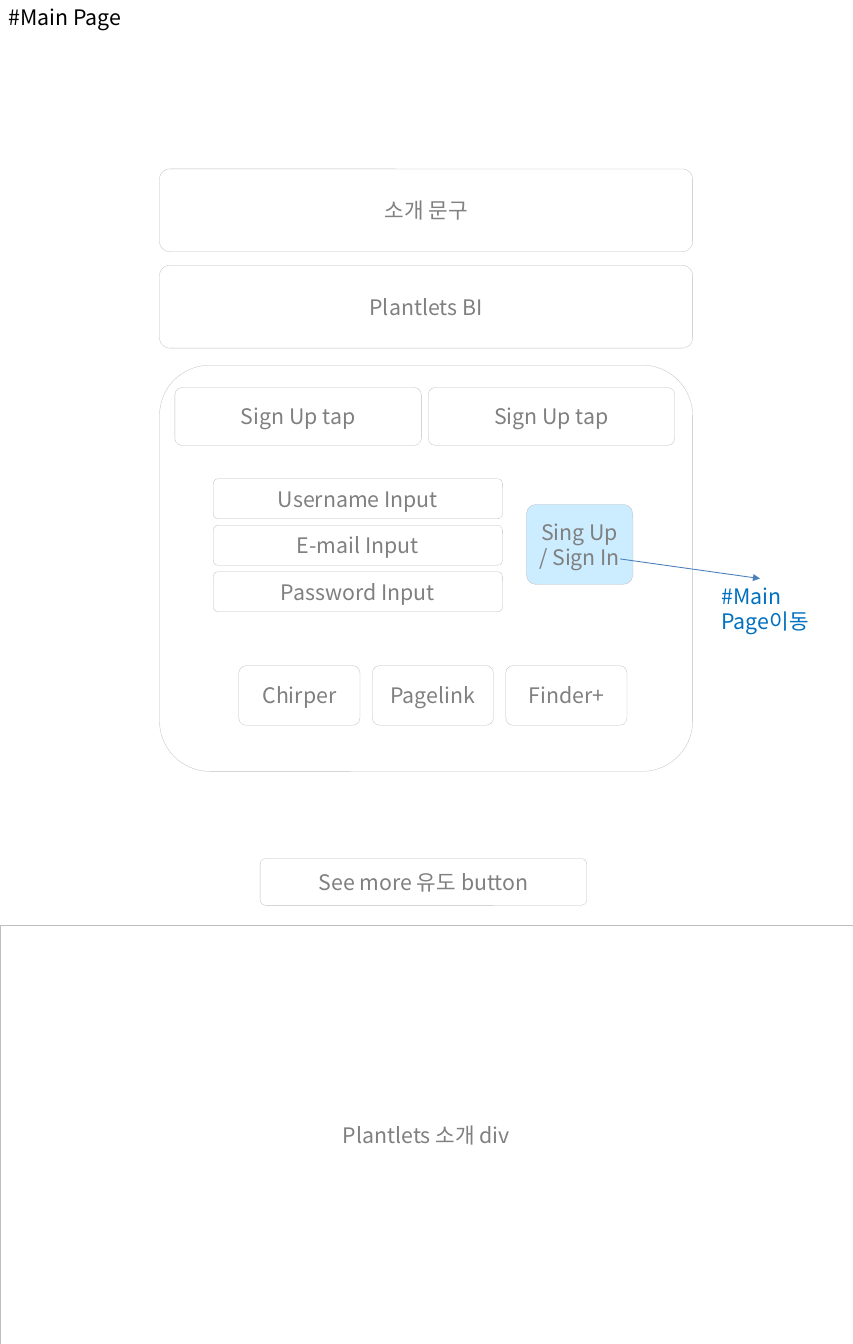
from lxml.etree import SubElement
from pptx import Presentation
from pptx.dml.color import RGBColor
from pptx.enum.shapes import MSO_CONNECTOR, MSO_SHAPE
from pptx.enum.text import MSO_ANCHOR, MSO_AUTO_SIZE, PP_ALIGN
from pptx.oxml.ns import qn
from pptx.util import Inches, Pt

THEME = {
    "font": "Noto Sans CJK KR",
    "size": Pt(18),
    "title": RGBColor.from_string("000000"),
    "label": RGBColor.from_string("808080"),
    "note": RGBColor.from_string("0070C0"),
    "outline": RGBColor.from_string("BFBFBF"),
    "outline_width": Pt(0.25),
    "button": RGBColor.from_string("CCECFF"),
    "arrow": RGBColor.from_string("4B7EBC"),
    "arrow_width": Pt(0.75),
    "corner": 0.124,
}

deck = Presentation()
deck.slide_width, deck.slide_height = Inches(10), Inches(15.75)
page = deck.slides.add_slide(deck.slide_layouts[6])

# The page is a grid of 100 columns by 157.5 rows.
COLUMN = deck.slide_width / 100
ROW = deck.slide_height / 157.5


def grid(*lengths):
    """Turn alternating columns and rows into slide lengths."""
    return [round(n * (ROW if i % 2 else COLUMN)) for i, n in enumerate(lengths)]


def write(box, text, color, align, **frame_format):
    frame = box.text_frame
    frame.text = text
    for name, value in frame_format.items():
        setattr(frame, name, value)
    for para in frame.paragraphs:
        para.alignment = align
        for span in para.runs:
            span.font.name = THEME["font"]
            span.font.size = THEME["size"]
            span.font.color.rgb = color
            east_asian = SubElement(span.font._element, qn("a:ea"))
            east_asian.set("typeface", THEME["font"])


# Wireframe boxes: text, left, top, width, height
panel_left, panel_width = 18.7, 62.5
boxes = [
    ("Plantlets BI", panel_left, 31.1, panel_width, 9.7),
    ("", panel_left, 42.8, panel_width, 47.6),
    ("Plantlets 소개 div", 0, 108.4, 100, 49.1),
]
boxes += [("Sign Up tap", 20.5 + 29.7 * i, 45.4, 28.9, 6.8) for i in range(2)]
boxes += [
    (f"{field} Input", 25, 56.1 + 5.45 * i, 33.9, 4.7)
    for i, field in enumerate(["Username", "E-mail", "Password"])
]
boxes.append(("Sing Up\n/ Sign In", 61.7, 59.1, 12.5, 9.4))
boxes += [
    (network, 28 + 15.65 * i, 78, 14.2, 7)
    for i, network in enumerate(["Chirper", "Pagelink", "Finder+"])
]
boxes += [
    ("See more 유도 button", 30.5, 100.6, 38.3, 5.5),
    ("소개 문구", panel_left, 19.8, panel_width, 9.7),
]

# Page title
title = page.shapes.add_textbox(*grid(0, 0, 15.7, 4))
write(title, "#Main Page", THEME["title"], PP_ALIGN.LEFT,
      word_wrap=False, auto_size=MSO_AUTO_SIZE.SHAPE_TO_FIT_TEXT)

for text, left, top, width, height in boxes:
    full_width = width == 100
    preset = MSO_SHAPE.RECTANGLE if full_width else MSO_SHAPE.ROUNDED_RECTANGLE
    box = page.shapes.add_shape(preset, *grid(left, top, width, height))
    box.shadow.inherit = False
    if not full_width:
        box.adjustments[0] = THEME["corner"]
    if text.startswith("Sing Up"):
        box.fill.solid()
        box.fill.fore_color.rgb = THEME["button"]
    else:
        box.fill.background()
    box.line.color.rgb = THEME["outline"]
    box.line.width = THEME["outline_width"]
    if text:
        write(box, text, THEME["label"], PP_ALIGN.CENTER,
              word_wrap=True, vertical_anchor=MSO_ANCHOR.MIDDLE)

# Arrow from the sign-in button to its note
arrow = page.shapes.add_connector(MSO_CONNECTOR.STRAIGHT, *grid(72.7, 65.5, 89.1, 67.8))
arrow.line.color.rgb = THEME["arrow"]
arrow.line.width = THEME["arrow_width"]
SubElement(arrow.line._get_or_add_ln(), qn("a:tailEnd")).set("type", "triangle")
SubElement(arrow._element.spPr, qn("a:effectLst"))

note = page.shapes.add_textbox(*grid(83.6, 67.8, 12.5, 7.1))
write(note, "#Main Page이동", THEME["note"], PP_ALIGN.LEFT,
      word_wrap=True, auto_size=MSO_AUTO_SIZE.SHAPE_TO_FIT_TEXT)

deck.save("out.pptx")
